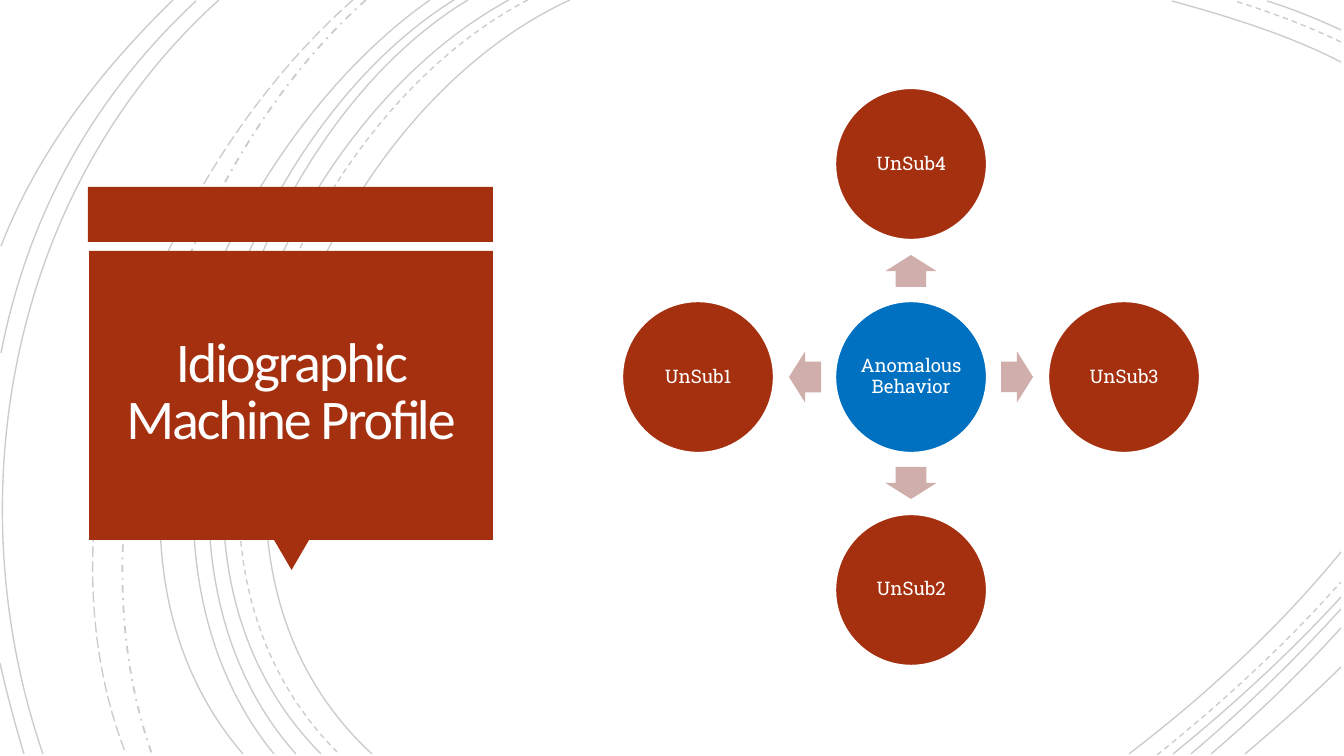
"""Build the Idiographic Machine Profile slide with a hub of four subjects."""
from lxml import etree
from pptx import Presentation
from pptx.dml.color import RGBColor
from pptx.enum.dml import MSO_LINE_DASH_STYLE as Dash
from pptx.enum.shapes import MSO_SHAPE as Shape
from pptx.enum.text import MSO_ANCHOR as Anchor, PP_ALIGN as Align
from pptx.oxml.ns import qn
from pptx.util import Pt

SCALE = 914400 / 134.4
RUST = RGBColor(0xA5, 0x30, 0x0F)
BLUE = RGBColor(0x00, 0x70, 0xC0)
BLUSH = RGBColor(0xCF, 0xAE, 0xAB)
WHITE = RGBColor(0xFF, 0xFF, 0xFF)
TITLE_WHITE = RGBColor(0xFF, 0xFE, 0xFF)
BLACK = RGBColor(0x00, 0x00, 0x00)

HUB_X, HUB_Y = 911, 377
DIAMETER, CIRCLE_STEP, ARROW_STEP = 152, 213, 106
ARROW_WIDTH, ARROW_HEIGHT = 32, 51

SOLID_ARCS = [
    [(570, 0), (317, 116), (144, 544), (372, 754)],
    [(1341, 62), (1289, 35), (1227, 16), (1172, 1)],
    [(1129, 754), (1206, 695), (1279, 628), (1341, 552)],
    [(509, 0), (271, 129), (110, 542), (321, 754)],
    [(1341, 30), (1317, 19), (1293, 9), (1267, 1)],
    [(1173, 754), (1232, 706), (1290, 653), (1341, 597)],
    [(468, 0), (246, 134), (110, 546), (296, 754)],
    [(1191, 754), (1243, 710), (1294, 661), (1341, 609)],
    [(454, 0), (233, 138), (98, 538), (274, 754)],
    [(1211, 754), (1257, 715), (1301, 672), (1341, 628)],
    [(430, 0), (219, 148), (54, 534), (243, 754)],
    [(1245, 754), (1277, 727), (1310, 698), (1341, 667)],
    [(219, 0), (11, 187), (-46, 495), (43, 754)],
    [(196, 1), (93, 97), (28, 215), (1, 353)],
    [(0, 663), (7, 694), (15, 724), (24, 754)],
    [(173, 0), (101, 70), (38, 151), (1, 246)],
]
DASHED_ARCS = [
    [(528, 0), (286, 126), (124, 542), (339, 754)],
    [(1341, 42), (1308, 26), (1270, 12), (1235, 1)],
    [(1157, 755), (1222, 703), (1285, 645), (1341, 582)],
]
DASH_DOT_ARCS = [[(366, 0), (177, 168), (66, 513), (152, 754)]]
LONG_DASH_ARCS = [[(353, 0), (159, 171), (28, 503), (126, 754)]]
ARC_STYLES = [
    (SOLID_ARCS, Dash.SOLID, 0.75),
    (DASHED_ARCS, Dash.DASH, 0.75),
    (DASH_DOT_ARCS, Dash.DASH_DOT, 1),
    (LONG_DASH_ARCS, Dash.LONG_DASH, 0.75),
]
SUBJECTS = [
    ("UnSub4", 0, -1, 270),
    ("UnSub3", 1, 0, 0),
    ("UnSub2", 0, 1, 90),
    ("UnSub1", -1, 0, 180),
]


def emu(px):
    """Turn pixels into EMU."""
    return round(px * SCALE)


def apply(target, values):
    """Set each attribute named in a dict."""
    for name, value in values.items():
        setattr(target, name, value)


def add_arc(page, points, dash, width):
    """Draw one faint Bezier arc."""
    builder = page.shapes.build_freeform(*points[0], scale=SCALE)
    builder.add_line_segments(points[1:], close=False)
    arc = builder.convert_to_shape()
    arc.shadow.inherit = False
    arc.fill.background()
    apply(arc.line, {"width": Pt(width), "dash_style": dash})
    arc.line.fill.solid()
    arc.line.color.rgb = BLACK
    color = arc.line._ln.find(".//" + qn("a:srgbClr"))
    etree.SubElement(color, qn("a:alpha")).set("val", "20000")
    outline = next(arc._element.iter(qn("a:path")))
    curve = etree.SubElement(outline, qn("a:cubicBezTo"))
    for segment in outline.findall(qn("a:lnTo")):
        curve.append(segment[0])
        outline.remove(segment)


def add_block(page, kind, left, top, width, height, color, rotation=0):
    """Add a filled shape without an outline."""
    block = page.shapes.add_shape(kind, *map(emu, (left, top, width, height)))
    block.shadow.inherit = False
    block.fill.solid()
    block.fill.fore_color.rgb = color
    block.line.fill.background()
    block.rotation = rotation
    return block


def write(box, text, inset, paragraph, font, color):
    """Write one centred paragraph and return its run."""
    sides = ("left", "right", "top", "bottom")
    margins = {f"margin_{side}": emu(inset) for side in sides}
    frame = box.text_frame
    apply(frame, {"word_wrap": True, "vertical_anchor": Anchor.MIDDLE, **margins})
    para = frame.paragraphs[0]
    apply(para, {"alignment": Align.CENTER, **paragraph})
    span = para.add_run()
    span.text = text
    apply(span.font, font)
    span.font.color.rgb = color
    return span


def add_title(page):
    """Add the title panel and its text."""
    add_block(page, Shape.RECTANGLE, 88, 187, 405, 55, RUST)
    add_block(page, Shape.ISOSCELES_TRIANGLE, 274, 540, 35, 30, RUST, 180)
    add_block(page, Shape.RECTANGLE, 89, 251, 404, 289, RUST)
    box = page.shapes.add_textbox(*map(emu, (98, 259, 386, 270)))
    font = {"name": "Calibri", "size": Pt(30)}
    span = write(box, "Idiographic Machine Profile", 26,
                 {"line_spacing": 0.85}, font, TITLE_WHITE)
    span._r.get_or_add_rPr().set("spc", "-110")


def add_circle(page, text, center_x, center_y, color):
    """Add a labelled circle around a centre."""
    radius = DIAMETER // 2
    circle = add_block(page, Shape.OVAL, center_x - radius, center_y - radius,
                       DIAMETER, DIAMETER, color)
    circle.line.color.rgb = WHITE
    circle.line.width = Pt(1.25)
    font = {"name": "Roboto Slab", "size": Pt(10)}
    write(circle, text, 1, {"line_spacing": 0.9, "space_after": Pt(3.5)}, font, WHITE)


def add_arrow(page, center_x, center_y, rotation):
    """Add a block arrow around a centre."""
    arrow = add_block(page, Shape.RIGHT_ARROW, center_x - ARROW_WIDTH / 2,
                      center_y - ARROW_HEIGHT / 2, ARROW_WIDTH, ARROW_HEIGHT,
                      BLUSH, rotation)
    arrow.adjustments[0] = 0.6
    arrow.adjustments[1] = 0.5


def main():
    """Build and save the deck."""
    deck = Presentation()
    apply(deck, {"slide_width": emu(1344), "slide_height": emu(756)})
    page = deck.slides.add_slide(deck.slide_layouts[6])
    for arcs, dash, width in ARC_STYLES:
        for points in arcs:
            add_arc(page, points, dash, width)
    add_title(page)
    add_circle(page, "Anomalous Behavior", HUB_X, HUB_Y, BLUE)
    for name, across, down, rotation in SUBJECTS:
        add_arrow(page, HUB_X + across * ARROW_STEP, HUB_Y + down * ARROW_STEP, rotation)
        add_circle(page, name, HUB_X + across * CIRCLE_STEP,
                   HUB_Y + down * CIRCLE_STEP, RUST)
    deck.save("out.pptx")


if __name__ == "__main__":
    main()
